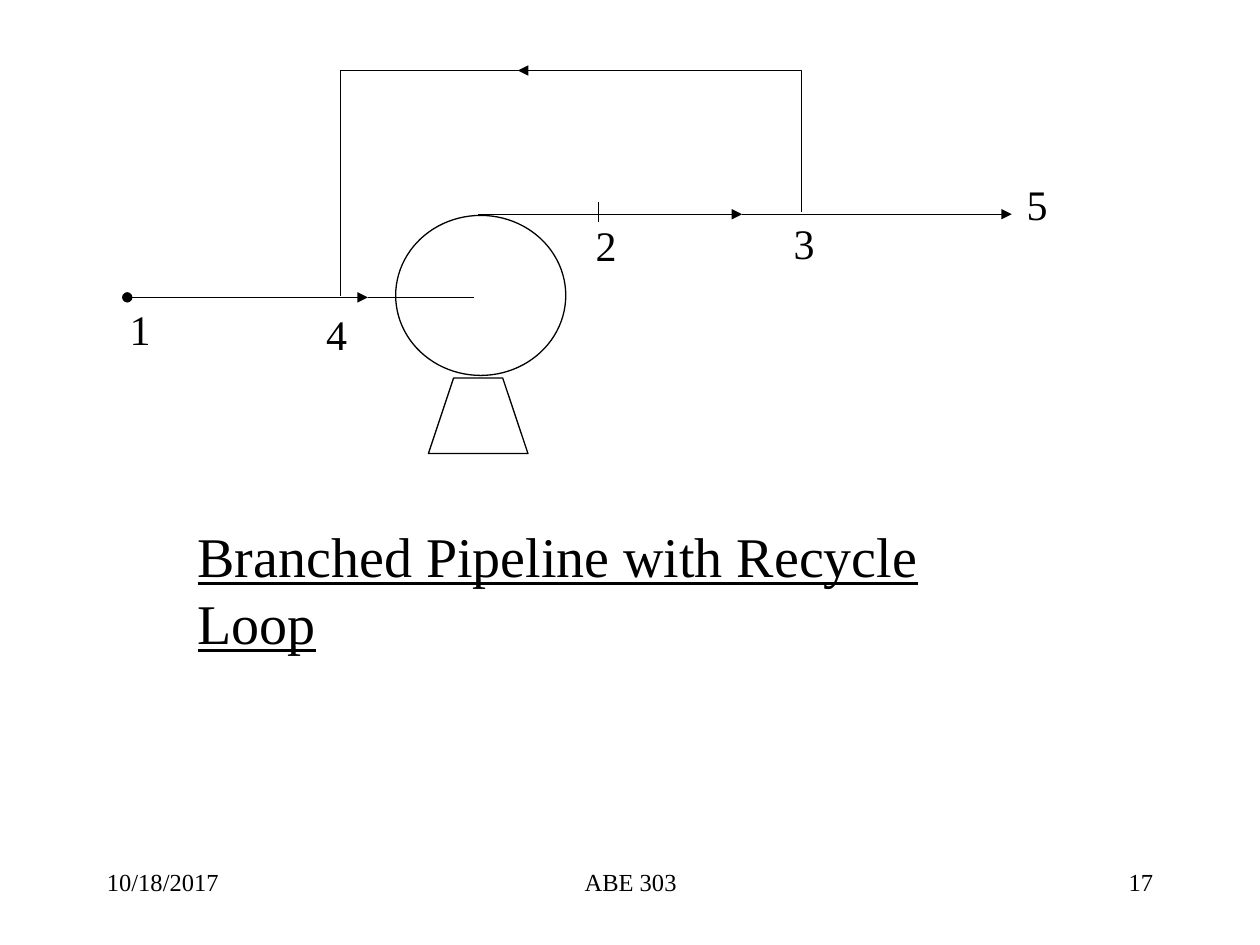
"""Build the slide with a branched pipeline, its pump and its recycle loop."""
import pptx
import pptx.dml.color
import pptx.enum.shapes
import pptx.enum.text
import pptx.oxml
import pptx.oxml.ns
import pptx.util

BLACK = pptx.dml.color.RGBColor(0, 0, 0)
WHITE = pptx.dml.color.RGBColor(255, 255, 255)
ALIGN = pptx.enum.text.PP_ALIGN
COLUMNS = 10


class Diagram:
    """Hold the style and the slide; lengths are columns and rows of a square grid."""

    font = "Times New Roman"
    weight = pptx.util.Pt(0.75)

    def __init__(self, prs):
        self.cell = prs.slide_width / COLUMNS
        self.slide = prs.slides.add_slide(prs.slide_layouts[6])
        self.slide.background.fill.solid()
        self.slide.background.fill.fore_color.rgb = WHITE
        self.shapes = self.slide.shapes

    def grid(self, *lengths):
        return [round(n * self.cell) for n in lengths]

    def stroke(self, sp, tail=None):
        sp.line.color.rgb = BLACK
        sp.line.width = self.weight
        if tail:
            end = pptx.oxml.parse_xml(
                f'<a:tailEnd {pptx.oxml.ns.nsdecls("a")} type="{tail}"/>')
            sp.line._get_or_add_ln().append(end)

    def text(self, text, box, size, align=ALIGN.LEFT, underline=False):
        sp = self.shapes.add_textbox(*self.grid(*box))
        tf = sp.text_frame
        tf.word_wrap = True
        tf.text = text
        p = tf.paragraphs[0]
        p.alignment = align
        r = p.runs[0]
        r.font.name = self.font
        r.font.size = pptx.util.Pt(size)
        r.font.color.rgb = BLACK
        if underline:
            r.font.underline = True

    def line(self, start, end, tail=None):
        sp = self.shapes.add_connector(
            pptx.enum.shapes.MSO_CONNECTOR.STRAIGHT, *self.grid(*start, *end))
        self.stroke(sp, tail)
        sp._element.spPr.append(
            pptx.oxml.parse_xml(f'<a:effectLst {pptx.oxml.ns.nsdecls("a")}/>'))

    def ellipse(self, box):
        sp = self.shapes.add_shape(
            pptx.enum.shapes.MSO_SHAPE.OVAL, *self.grid(*box))
        sp.shadow.inherit = False
        sp.fill.background()
        self.stroke(sp)

    def outline(self, points, close=False, tail=None):
        first, *rest = [self.grid(*point) for point in points]
        builder = self.shapes.build_freeform(*first)
        builder.add_line_segments(rest, close=close)
        sp = builder.convert_to_shape()
        sp.shadow.inherit = False
        sp.fill.background()
        self.stroke(sp, tail)


prs = pptx.Presentation()
prs.slide_width = pptx.util.Inches(10)
prs.slide_height = pptx.util.Inches(7.5)
diagram = Diagram(prs)

for text, left, width, align in (
        ("10/18/2017", 0.75, 2.08, ALIGN.LEFT),
        ("ABE 303", 3.42, 3.17, ALIGN.CENTER),
        ("17", 7.17, 2.08, ALIGN.RIGHT)):
    diagram.text(text, (left, 6.83, width, 0.5), 14, align)

diagram.text("Branched Pipeline with Recycle Loop",
             (1.47, 4.09, 6.9, 0.63), 32, underline=True)

inlet, outlet, loop_top = 2.36, 1.7, 0.56
diagram.outline([(3.4, 3.6), (3.6, 3), (3.99, 3), (4.19, 3.6)], close=True)
diagram.ellipse((3.14, 1.71, 1.35, 1.27))

for start, end, row, tail in (
        (1.83, 1.01, inlet, "oval"),
        (1.83, 2.92, inlet, "triangle"),
        (2.92, 3.76, inlet, None),
        (3.79, 5.89, outlet, "triangle"),
        (5.89, 8.03, outlet, "triangle")):
    diagram.line((start, row), (end, row), tail)
diagram.line((4.75, 1.6), (4.75, 1.76))

diagram.outline([(6.36, 1.68), (6.36, loop_top), (4.11, loop_top)],
                tail="triangle")
diagram.outline([(4.14, loop_top), (2.7, loop_top), (2.7, 2.35)])

for node, left, top in (("1", 0.93, 2.36), ("2", 4.63, 1.69), ("3", 6.2, 1.68),
                        ("4", 2.49, 2.4), ("5", 8.05, 1.37)):
    diagram.text(node, (left, top, 0.37, 0.5), 24)

prs.save("out.pptx")
